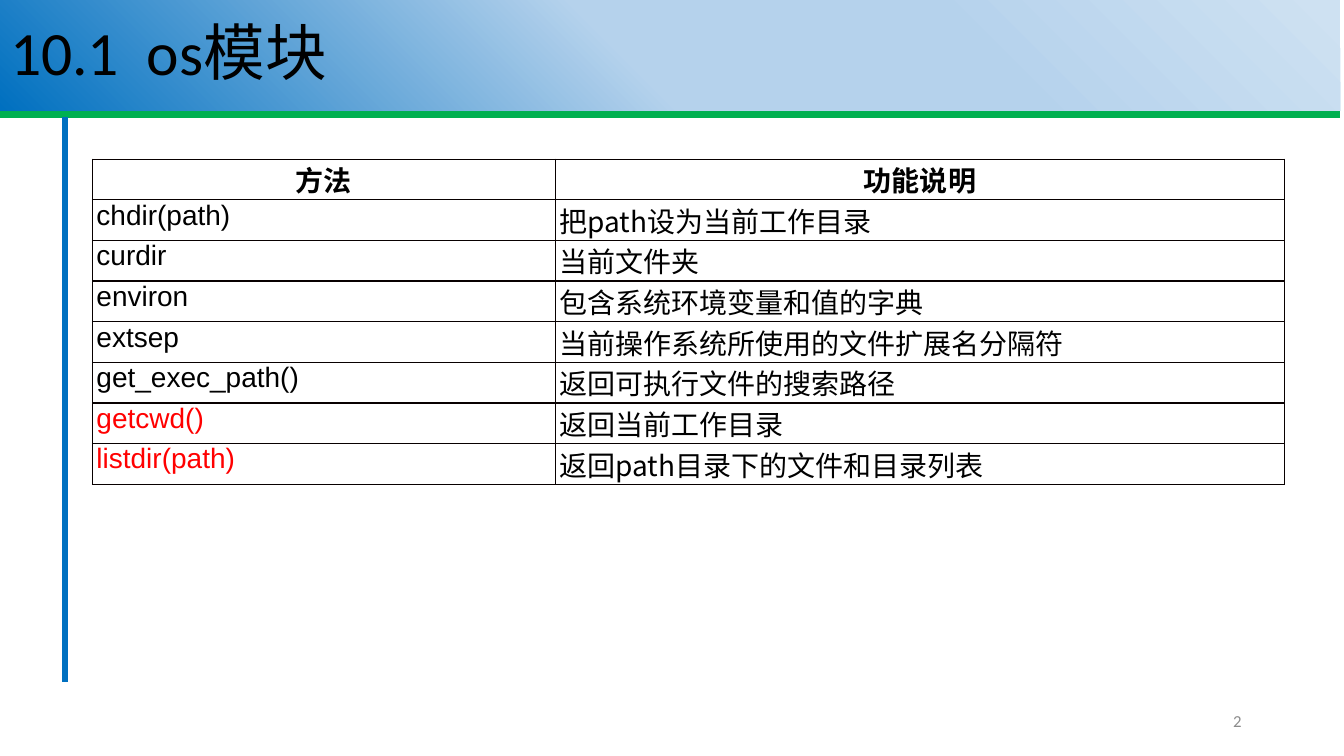
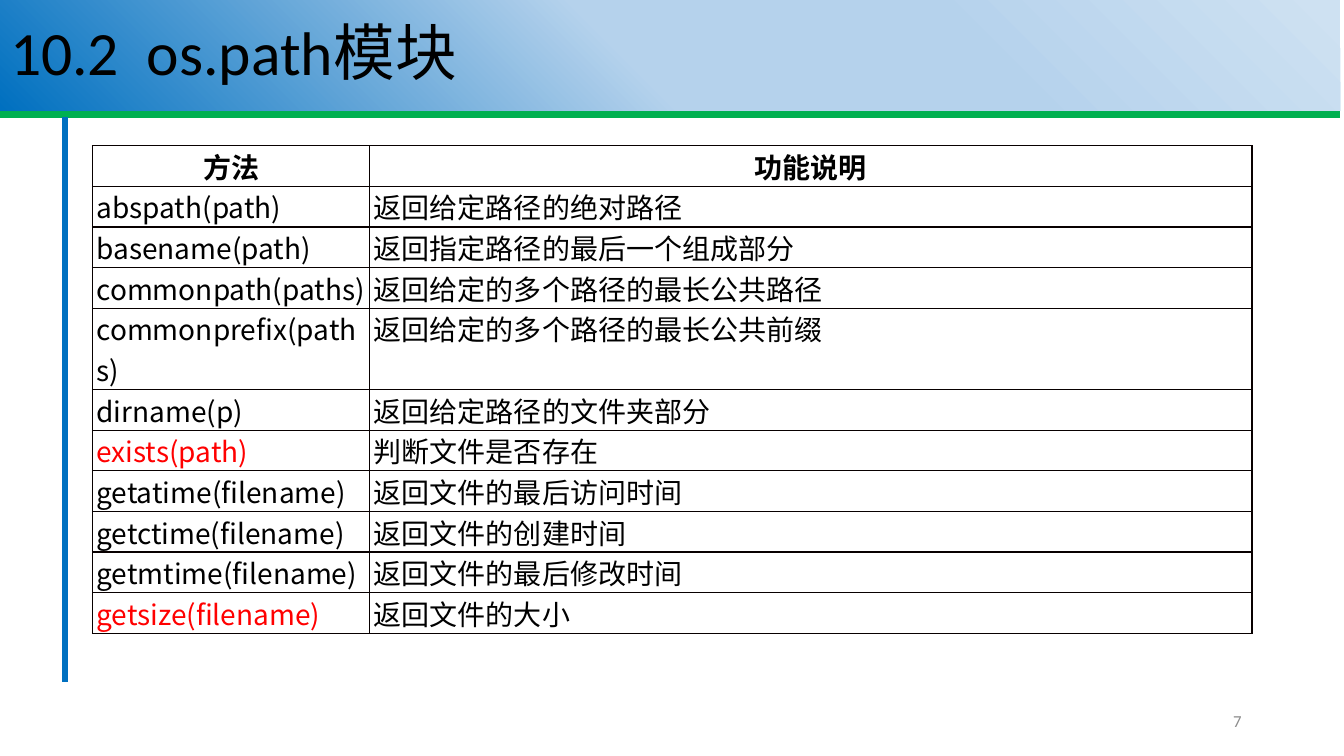
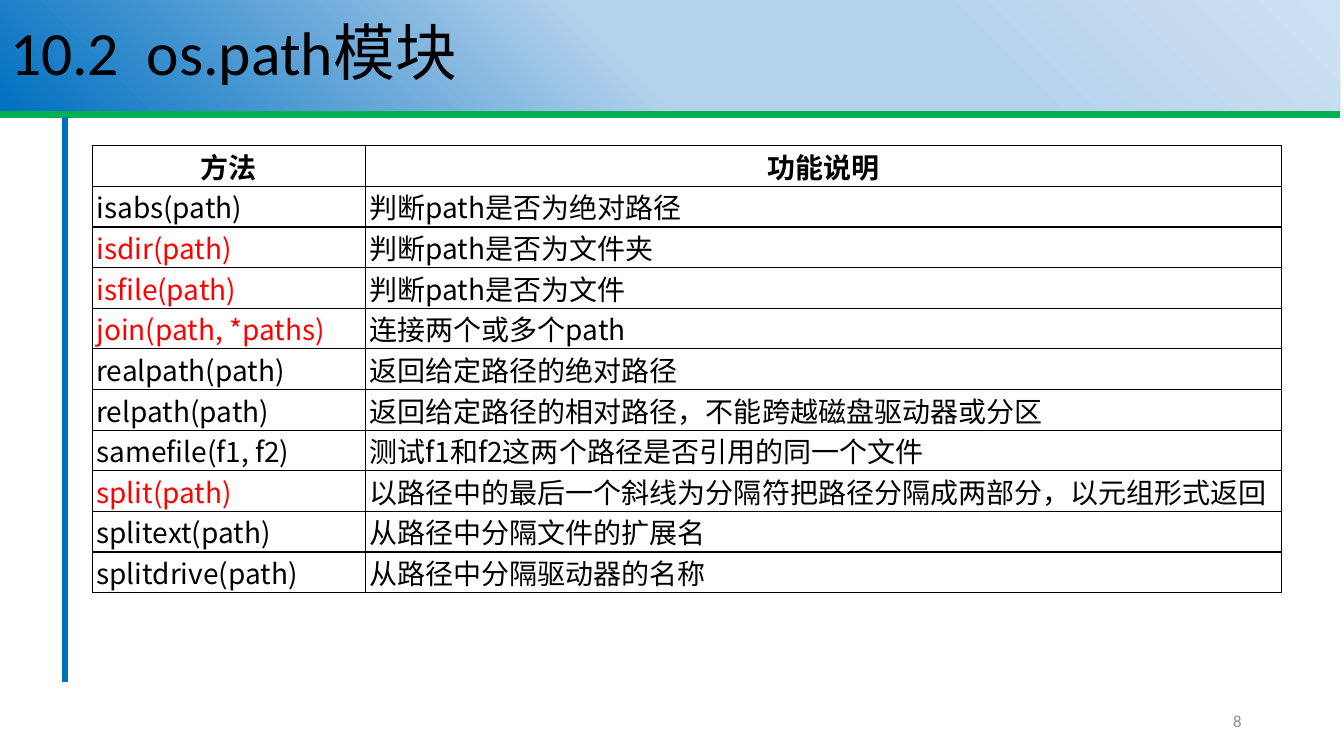
from lxml import etree
from pptx import Presentation
from pptx.dml.color import RGBColor
from pptx.enum.shapes import MSO_CONNECTOR
from pptx.enum.text import MSO_ANCHOR, MSO_AUTO_SIZE, PP_ALIGN
from pptx.oxml.ns import qn
from pptx.util import Cm, Pt

STRAIGHT = MSO_CONNECTOR.STRAIGHT
MIDDLE = MSO_ANCHOR.MIDDLE
TOP = MSO_ANCHOR.TOP
NO_AUTOFIT = MSO_AUTO_SIZE.NONE
LEFT, CENTER, RIGHT = PP_ALIGN.LEFT, PP_ALIGN.CENTER, PP_ALIGN.RIGHT

BLACK, RED, GRAY = "000000", "FF0000", "8C8C8C"
GREEN, BLUE, BORDER = "00B050", "0070C0", "080000"
BAND_STOPS = [(1, "CEE1F2"), (29, "B5D2EC"), (53, "B5D2EC"), (100, BLUE)]
LATIN, CHINESE, CODE = "Calibri", "Noto Sans CJK SC", "Arial"
HEADER = ("方法", "功能说明")
LINE_HEIGHT = Cm(4.1) // 4


def color(value):
    return RGBColor.from_string(value)


def write(frame, text, font=LATIN, size=20, fill=BLACK, bold=False,
          align=LEFT, spacing=None):
    paragraph = frame.paragraphs[0]
    paragraph.alignment = align
    if spacing:
        paragraph.line_spacing = spacing
    run = paragraph.add_run()
    run.text = text
    run.font.name = font
    run.font.size = Pt(size)
    run.font.bold = bold
    run.font.color.rgb = color(fill)
    east_asian = etree.SubElement(run.font._element, qn("a:ea"))
    east_asian.set("typeface", CHINESE)


class Deck:
    def __init__(self):
        self.presentation = Presentation()
        self.presentation.slide_width = Cm(33.87)
        self.presentation.slide_height = Cm(19.05)
        self.slide = None

    def add_slide(self, title, number):
        layout = self.presentation.slide_layouts.get_by_name("Title Only")
        self.slide = self.presentation.slides.add_slide(layout)
        self.title(title)
        self.line(0, 2.89, 33.78, 2.89, GREEN, 5.25)
        self.line(1.64, 2.95, 1.64, 17.18, BLUE, 3.75)
        self.page_number(number)

    def title(self, text):
        shape = self.slide.shapes.title
        shape.left, shape.top = Cm(0), Cm(0)
        shape.width, shape.height = Cm(33.78), Cm(2.79)
        shape.fill.gradient()
        shape.fill.gradient_angle = 225
        stops = shape.element.spPr.find(".//" + qn("a:gsLst"))
        for stop in list(stops):
            stops.remove(stop)
        for position, value in BAND_STOPS:
            stop = etree.SubElement(stops, qn("a:gs"), pos=str(position * 1000))
            etree.SubElement(stop, qn("a:srgbClr"), val=value)
        frame = shape.text_frame
        frame.auto_size = NO_AUTOFIT
        frame.vertical_anchor = MIDDLE
        write(frame, text, size=44, spacing=0.9)

    def line(self, x1, y1, x2, y2, stroke, width):
        connector = self.slide.shapes.add_connector(
            STRAIGHT, Cm(x1), Cm(y1), Cm(x2), Cm(y2))
        connector.line.color.rgb = color(stroke)
        connector.line.width = Pt(width)
        etree.SubElement(connector.element.spPr, qn("a:effectLst"))

    def page_number(self, number):
        box = self.slide.shapes.add_textbox(
            Cm(23.92), Cm(17.65), Cm(7.62), Cm(1.02))
        frame = box.text_frame
        frame.word_wrap = True
        frame.vertical_anchor = MIDDLE
        write(frame, str(number), size=12, fill=GRAY, align=RIGHT)

    def table(self, top, widths, entries, highlighted, method_font=CHINESE,
              wrapped=()):
        rows = [HEADER, *entries]
        heights = [LINE_HEIGHT * (2 if method in wrapped else 1)
                   for method, _ in rows]
        table = self.slide.shapes.add_table(
            len(rows), len(widths), Cm(2.33), Cm(top),
            Cm(sum(widths)), sum(heights)).table
        table.first_row = False
        table.horz_banding = False
        for column, width in zip(table.columns, widths):
            column.width = Cm(width)
        for row_index, texts in enumerate(rows):
            row = table.rows[row_index]
            row.height = heights[row_index]
            is_header = row_index == 0
            for column_index, text in enumerate(texts):
                is_method = column_index == 0 and not is_header
                cell = row.cells[column_index]
                self.format_cell(cell, 0 if is_header else 0.1)
                write(cell.text_frame, text,
                      font=method_font if is_method else CHINESE,
                      fill=RED if is_method and text in highlighted else BLACK,
                      bold=is_header, align=CENTER if is_header else LEFT)

    def format_cell(self, cell, left_margin):
        cell.margin_left = Cm(left_margin)
        cell.margin_top = cell.margin_right = cell.margin_bottom = Cm(0)
        cell.vertical_anchor = TOP
        properties = cell._tc.get_or_add_tcPr()
        for side in ("lnL", "lnR", "lnT", "lnB"):
            border = etree.SubElement(
                properties, qn("a:" + side), w=str(int(Pt(1))))
            fill = etree.SubElement(border, qn("a:solidFill"))
            etree.SubElement(fill, qn("a:srgbClr"), val=BORDER)
        cell.fill.background()


deck = Deck()

deck.add_slide("10.1  os模块", 2)
deck.table(4.01, (11.66, 18.39), [
    ("chdir(path)", "把path设为当前工作目录"),
    ("curdir", "当前文件夹"),
    ("environ", "包含系统环境变量和值的字典"),
    ("extsep", "当前操作系统所使用的文件扩展名分隔符"),
    ("get_exec_path()", "返回可执行文件的搜索路径"),
    ("getcwd()", "返回当前工作目录"),
    ("listdir(path)", "返回path目录下的文件和目录列表"),
], {"getcwd()", "listdir(path)"}, method_font=CODE)

deck.add_slide("10.2  os.path模块", 7)
deck.table(3.67, (6.99, 22.23), [
    ("abspath(path)", "返回给定路径的绝对路径"),
    ("basename(path)", "返回指定路径的最后一个组成部分"),
    ("commonpath(paths)", "返回给定的多个路径的最长公共路径"),
    ("commonprefix(paths)", "返回给定的多个路径的最长公共前缀"),
    ("dirname(p)", "返回给定路径的文件夹部分"),
    ("exists(path)", "判断文件是否存在"),
    ("getatime(filename)", "返回文件的最后访问时间"),
    ("getctime(filename)", "返回文件的创建时间"),
    ("getmtime(filename)", "返回文件的最后修改时间"),
    ("getsize(filename)", "返回文件的大小"),
], {"exists(path)", "getsize(filename)"}, wrapped={"commonprefix(paths)"})

deck.add_slide("10.2  os.path模块", 8)
deck.table(3.67, (6.88, 23.09), [
    ("isabs(path)", "判断path是否为绝对路径"),
    ("isdir(path)", "判断path是否为文件夹"),
    ("isfile(path)", "判断path是否为文件"),
    ("join(path, *paths)", "连接两个或多个path"),
    ("realpath(path)", "返回给定路径的绝对路径"),
    ("relpath(path)", "返回给定路径的相对路径，不能跨越磁盘驱动器或分区"),
    ("samefile(f1, f2)", "测试f1和f2这两个路径是否引用的同一个文件"),
    ("split(path)", "以路径中的最后一个斜线为分隔符把路径分隔成两部分，以元组形式返回"),
    ("splitext(path)", "从路径中分隔文件的扩展名"),
    ("splitdrive(path)", "从路径中分隔驱动器的名称"),
], {"isdir(path)", "isfile(path)", "join(path, *paths)", "split(path)"})

deck.presentation.save("out.pptx")
